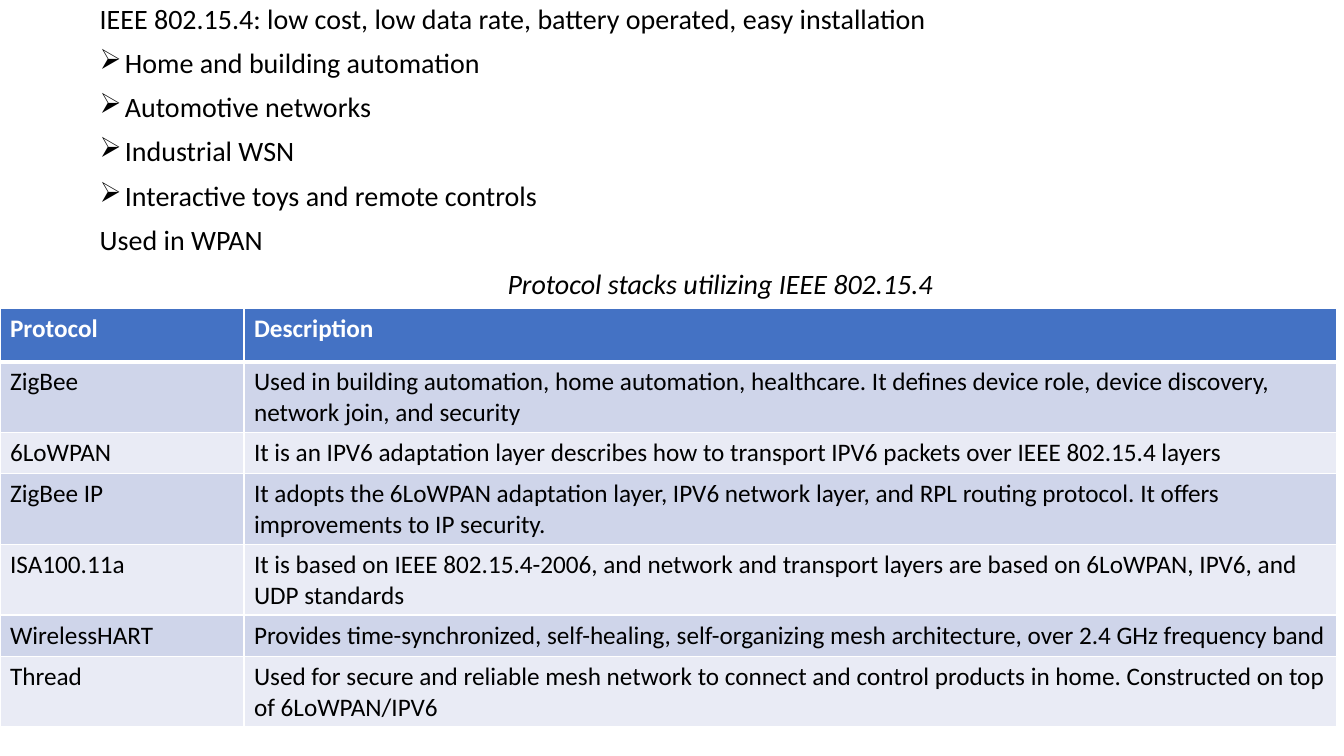
from dataclasses import dataclass

import pptx
import pptx.dml.color
import pptx.enum.text
import pptx.oxml.ns
import pptx.slide
import pptx.table
import pptx.text.text
import pptx.util
from lxml import etree

Inches = pptx.util.Inches
Pt = pptx.util.Pt


@dataclass(frozen=True)
class Theme:
    font: str = "Calibri"
    text: str = "000000"
    header_text: str = "FFFFFF"
    header_fill: str = "4472C4"
    bands: tuple[str, str] = ("CFD5EA", "E9EBF5")
    border: str = "FFFFFF"
    body_size: int = 20
    table_size: int = 18


@dataclass(frozen=True)
class Line:
    text: str
    bullet: bool = False
    caption: bool = False


@dataclass(frozen=True)
class Protocol:
    name: str
    description: str


THEME = Theme()

LINES = [
    Line("IEEE 802.15.4: low cost, low data rate, battery operated, easy installation"),
    Line("Home and building automation", bullet=True),
    Line("Automotive networks", bullet=True),
    Line("Industrial WSN", bullet=True),
    Line("Interactive toys and remote controls", bullet=True),
    Line("Used in WPAN"),
    Line("Protocol stacks utilizing IEEE 802.15.4", caption=True),
]

HEADER = Protocol("Protocol", "Description")
PROTOCOLS = [
    Protocol("ZigBee", "Used in building automation, home automation, healthcare. It defines "
             "device role, device discovery, network join, and security"),
    Protocol("6LoWPAN", "It is an IPV6 adaptation layer describes how to transport IPV6 packets "
             "over IEEE 802.15.4 layers"),
    Protocol("ZigBee IP", "It adopts the 6LoWPAN adaptation layer, IPV6 network layer, and RPL "
             "routing protocol. It offers improvements to IP security."),
    Protocol("ISA100.11a", "It is based on IEEE 802.15.4-2006, and network and transport layers "
             "are based on 6LoWPAN, IPV6, and UDP standards"),
    Protocol("WirelessHART", "Provides time-synchronized, self-healing, self-organizing mesh "
             "architecture, over 2.4 GHz frequency band"),
    Protocol("Thread", "Used for secure and reliable mesh network to connect and control "
             "products in home. Constructed on top of 6LoWPAN/IPV6"),
]
COLUMN_WIDTHS = (2.42, 10.84)
HEADER_HEIGHT, ROW_HEIGHT = 0.53, 0.41


def rgb(color: str) -> pptx.dml.color.RGBColor:
    return pptx.dml.color.RGBColor.from_string(color)


def style_run(p: pptx.text.text._Paragraph, size: int, color: str,
              bold: bool = False, italic: bool = False) -> None:
    font = p.runs[0].font
    font.name, font.size = THEME.font, Pt(size)
    font.bold, font.italic = bold, italic
    font.color.rgb = rgb(color)


def add_bullet(p: pptx.text.text._Paragraph) -> None:
    """Give the paragraph an arrow bullet with a hanging indent."""
    pPr = p._p.get_or_add_pPr()
    indent = Inches(0.25)
    pPr.set("marL", str(indent))
    pPr.set("indent", str(-indent))
    etree.SubElement(pPr, pptx.oxml.ns.qn("a:buChar")).set("char", "➢")


def add_body(slide: pptx.slide.Slide, lines: list[Line]) -> None:
    tf = slide.shapes.add_textbox(Inches(0.89), 0, Inches(12.51), Inches(7.79)).text_frame
    tf.word_wrap = True
    for i, line in enumerate(lines):
        p = tf.add_paragraph() if i else tf.paragraphs[0]
        p.text = line.text
        p.line_spacing = 0.9
        if i:
            p.space_before = Pt(10)
        if line.bullet:
            add_bullet(p)
        if line.caption:
            p.alignment = pptx.enum.text.PP_ALIGN.CENTER
        style_run(p, THEME.body_size, THEME.text, italic=line.caption)


def set_borders(cell: pptx.table._Cell, bottom: int, top: int) -> None:
    """Draw the four cell edges; call it before the fill is set."""
    tcPr = cell._tc.get_or_add_tcPr()
    for side, width in (("L", 1), ("R", 1), ("T", top), ("B", bottom)):
        ln = etree.SubElement(tcPr, pptx.oxml.ns.qn(f"a:ln{side}"), w=str(Pt(width)))
        fill = etree.SubElement(ln, pptx.oxml.ns.qn("a:solidFill"))
        etree.SubElement(fill, pptx.oxml.ns.qn("a:srgbClr"), val=THEME.border)


def add_protocol_table(slide: pptx.slide.Slide, protocols: list[Protocol]) -> None:
    rows = [HEADER, *protocols]
    height = HEADER_HEIGHT + ROW_HEIGHT * len(protocols)
    table = slide.shapes.add_table(len(rows), len(COLUMN_WIDTHS), 0, Inches(3.06),
                                   Inches(sum(COLUMN_WIDTHS)), Inches(height)).table
    for column, width in zip(table.columns, COLUMN_WIDTHS):
        column.width = Inches(width)
    for i, protocol in enumerate(rows):
        is_header = i == 0
        table.rows[i].height = Inches(HEADER_HEIGHT if is_header else ROW_HEIGHT)
        fill = THEME.header_fill if is_header else THEME.bands[(i - 1) % 2]
        color = THEME.header_text if is_header else THEME.text
        for cell, text in zip(table.rows[i].cells, (protocol.name, protocol.description)):
            cell.text_frame.text = text
            style_run(cell.text_frame.paragraphs[0], THEME.table_size, color, bold=is_header)
            set_borders(cell, bottom=3 if is_header else 1, top=3 if i == 1 else 1)
            cell.fill.solid()
            cell.fill.fore_color.rgb = rgb(fill)


def main() -> None:
    prs = pptx.Presentation()
    prs.slide_width, prs.slide_height = Inches(13.33), Inches(7.5)
    slide = prs.slides.add_slide(prs.slide_layouts[6])
    add_body(slide, LINES)
    add_protocol_table(slide, PROTOCOLS)
    prs.save("out.pptx")


if __name__ == "__main__":
    main()
